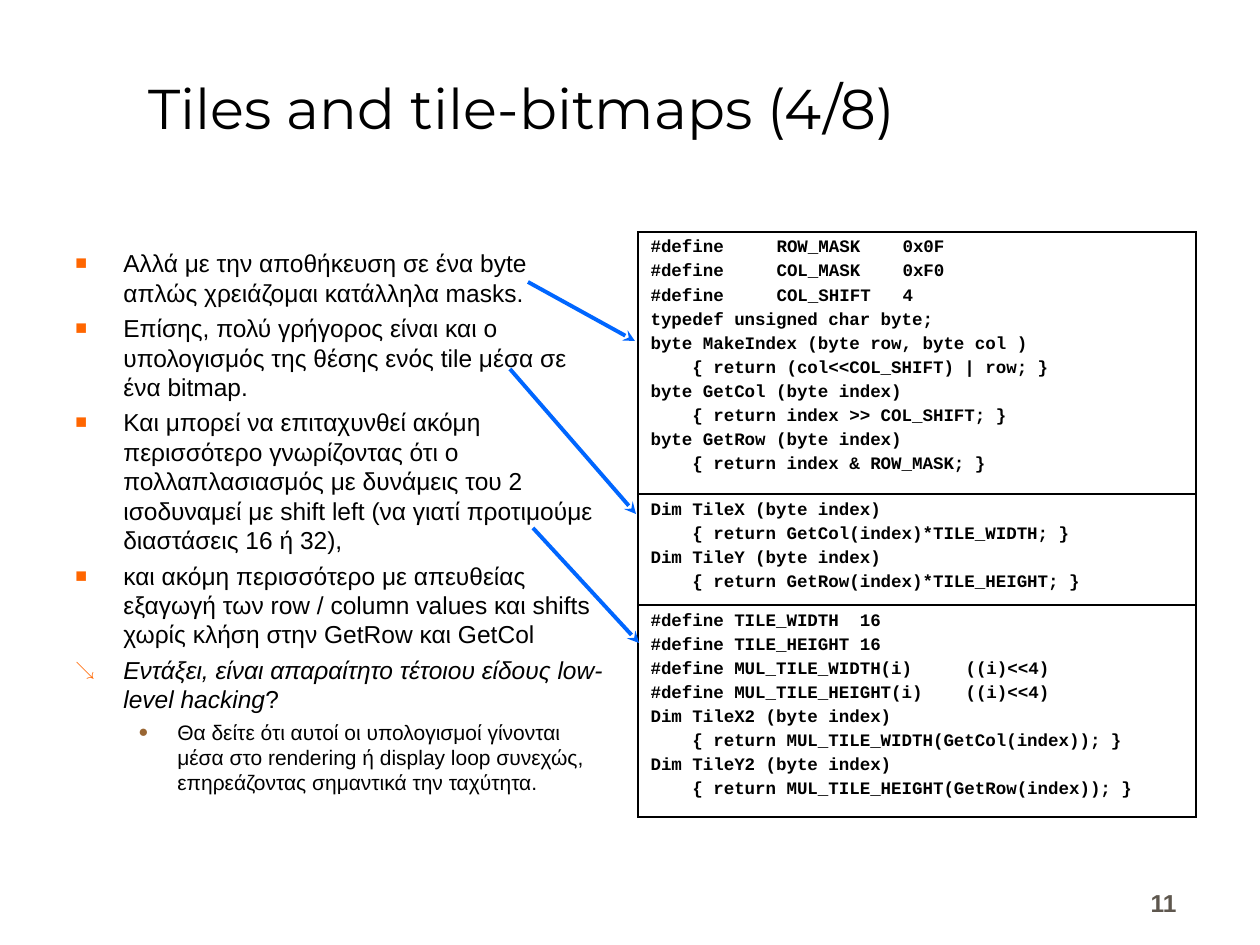
from lxml.etree import SubElement
from pptx import Presentation
from pptx.dml.color import RGBColor
from pptx.enum.shapes import MSO_CONNECTOR as Connector
from pptx.enum.text import MSO_ANCHOR as Anchor, MSO_AUTO_SIZE as AutoSize, PP_ALIGN as Align
from pptx.oxml.ns import qn
from pptx.util import Emu, Pt

BLACK = RGBColor(0x00, 0x00, 0x00)
WHITE = RGBColor(0xFF, 0xFF, 0xFF)
ORANGE = RGBColor(0xFF, 0x66, 0x00)
BROWN = RGBColor(0x99, 0x66, 0x33)
BLUE = RGBColor(0x00, 0x66, 0xFF)
GREY = RGBColor(0x5E, 0x57, 0x4E)

# level, bullet, runs as (text, italic)
POINTS = [
    (0, "■", [("Αλλά με την αποθήκευση σε ένα byte απλώς χρειάζομαι κατάλληλα masks.", False)]),
    (0, "■", [("Επίσης, πολύ γρήγορος είναι και ο υπολογισμός της θέσης ενός tile "
               "μέσα σε ένα bitmap.", False)]),
    (0, "■", [("Και μπορεί να επιταχυνθεί ακόμη περισσότερο γνωρίζοντας ότι ο "
               "πολλαπλασιασμός με δυνάμεις του 2 ισοδυναμεί με shift left "
               "(να γιατί προτιμούμε διαστάσεις 16 ή 32),", False)]),
    (0, "■", [("και ακόμη περισσότερο με απευθείας εξαγωγή των row / column values "
               "και shifts χωρίς κλήση στην GetRow και GetCol", False)]),
    (0, "↘", [("Εντάξει, είναι απαραίτητο τέτοιου είδους low-level hacking", True),
              ("?", False)]),
    (1, "●", [("Θα δείτε ότι αυτοί οι υπολογισμοί γίνονται μέσα στο rendering ή "
               "display loop συνεχώς, επηρεάζοντας σημαντικά την ταχύτητα.", False)]),
]
# left margin and hanging indent in px, size and space before in pt, bullet colour
LEVELS = [(48, 48, 14, 3.5, ORANGE), (102, 39, 12, 3, BROWN)]

INDEX_CODE = """#define\tROW_MASK\t0x0F
#define\tCOL_MASK\t0xF0
#define\tCOL_SHIFT\t4
typedef unsigned char byte;
byte MakeIndex (byte row, byte col )
    { return (col<<COL_SHIFT) | row; }
byte GetCol (byte index)
    { return index >> COL_SHIFT; }
byte GetRow (byte index)
    { return index & ROW_MASK; }"""
POSITION_CODE = """Dim TileX (byte index)
    { return GetCol(index)*TILE_WIDTH; }
Dim TileY (byte index)
    { return GetRow(index)*TILE_HEIGHT; }"""
SHIFT_CODE = """#define TILE_WIDTH  16
#define TILE_HEIGHT 16
#define MUL_TILE_WIDTH(i)\t((i)<<4)
#define MUL_TILE_HEIGHT(i)\t((i)<<4)
Dim TileX2 (byte index)
    { return MUL_TILE_WIDTH(GetCol(index)); }
Dim TileY2 (byte index)
    { return MUL_TILE_HEIGHT(GetRow(index)); }"""
CODE_ROWS = [(262, INDEX_CODE), (111, POSITION_CODE), (212, SHIFT_CODE)]

ARROWS = [(528, 282, 635, 341), (510, 369, 636, 514), (533, 528, 639, 643)]


def px(length):
    return Emu(round(length * 914400 / 126))


def style(run, face, size, color=BLACK, bold=False, italic=False):
    font = run.font
    font.name, font.size, font.bold, font.italic = face, Pt(size), bold, italic
    font.color.rgb = color


class SlideBuilder:
    text_face = "Arial"
    code_face = "Courier New"
    title_face = "Montserrat"

    def __init__(self, slide):
        self.slide = slide

    def title(self, text, box):
        title = self.slide.shapes.title
        title.left, title.top, title.width, title.height = map(px, box)
        frame = title.text_frame
        frame.text = text
        frame.auto_size = AutoSize.NONE
        frame.vertical_anchor = Anchor.BOTTOM
        frame.paragraphs[0].alignment = Align.LEFT
        style(frame.paragraphs[0].runs[0], self.title_face, 32)

    def text_frame(self, box, anchor=Anchor.TOP):
        frame = self.slide.shapes.add_textbox(*map(px, box)).text_frame
        frame.word_wrap = True
        frame.vertical_anchor = anchor
        return frame

    def bullet(self, paragraph, char, color, margin, hanging):
        props = paragraph._p.get_or_add_pPr()
        props.set("marL", str(px(margin)))
        props.set("indent", str(-px(hanging)))
        SubElement(SubElement(props, qn("a:buClr")), qn("a:srgbClr"), val=str(color))
        SubElement(props, qn("a:buSzPct"), val="80000")
        SubElement(props, qn("a:buFont"), typeface=self.text_face)
        SubElement(props, qn("a:buChar"), char=char)

    def points(self, points, box):
        frame = self.text_frame(box)
        for i, (level, char, parts) in enumerate(points):
            paragraph = frame.add_paragraph() if i else frame.paragraphs[0]
            margin, hanging, size, gap, color = LEVELS[level]
            paragraph.level = level
            self.bullet(paragraph, char, color, margin, hanging)
            if i:
                paragraph.space_before = Pt(gap)
            for text, italic in parts:
                run = paragraph.add_run()
                run.text = text
                style(run, self.text_face, size, italic=italic)

    def borders(self, cell):
        props = cell._tc.get_or_add_tcPr()
        for side in ("lnL", "lnR", "lnT", "lnB"):
            line = SubElement(props, qn(f"a:{side}"), w=str(Pt(1.08)))
            fill = SubElement(line, qn("a:solidFill"))
            SubElement(fill, qn("a:srgbClr"), val=str(BLACK))

    def code_table(self, rows, left, top, width):
        height = sum(row_height for row_height, _ in rows)
        table = self.slide.shapes.add_table(
            len(rows), 1, *map(px, (left, top, width, height))).table
        table.first_row = table.horz_banding = False
        for i, (row_height, code) in enumerate(rows):
            table.rows[i].height = px(row_height)
            cell = table.cell(i, 0)
            self.borders(cell)
            cell.fill.solid()
            cell.fill.fore_color.rgb = WHITE
            cell.text_frame.text = code
            for n, paragraph in enumerate(cell.text_frame.paragraphs):
                if n:
                    paragraph.space_before = Pt(2.5)
                for run in paragraph.runs:
                    style(run, self.code_face, 10, bold=True)

    def arrow(self, ends):
        arrow = self.slide.shapes.add_connector(Connector.STRAIGHT, *map(px, ends))
        arrow.line.color.rgb = BLUE
        arrow.line.width = Pt(2.25)
        SubElement(arrow.line._get_or_add_ln(), qn("a:tailEnd"), type="stealth")
        SubElement(arrow._element.spPr, qn("a:effectLst"))

    def page_number(self, text, box):
        frame = self.text_frame(box, Anchor.BOTTOM)
        frame.text = text
        frame.paragraphs[0].alignment = Align.RIGHT
        style(frame.paragraphs[0].runs[0], self.text_face, 14, GREY, bold=True)


def main():
    deck = Presentation()
    deck.slide_width, deck.slide_height = px(1260), px(945)
    builder = SlideBuilder(deck.slides.add_slide(deck.slide_layouts[5]))
    builder.title("Tiles and tile-bitmaps (4/8)", (136, 21, 1124, 126))
    builder.points(POINTS, (63, 242, 553, 609))
    builder.code_table(CODE_ROWS, 638, 232, 558)
    for ends in ARROWS:
        builder.arrow(ends)
    builder.page_number("11", (927, 861, 262, 63))
    deck.save("out.pptx")


if __name__ == "__main__":
    main()
